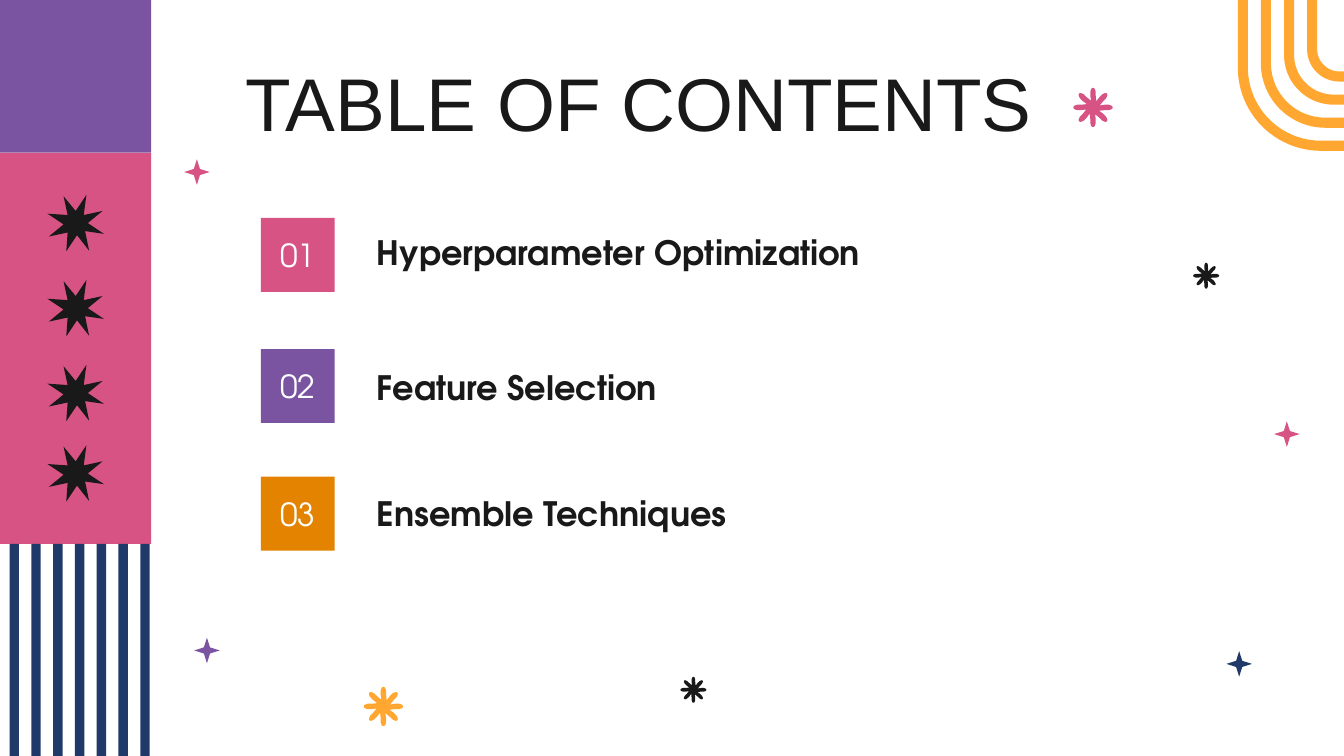
from math import cos, pi, sin

from pptx import Presentation
from pptx.dml.color import RGBColor
from pptx.enum.shapes import MSO_SHAPE
from pptx.enum.text import MSO_ANCHOR, MSO_AUTO_SIZE, PP_ALIGN
from pptx.util import Inches, Pt

PINK = RGBColor(0xD7, 0x53, 0x83)
PURPLE = RGBColor(0x7A, 0x54, 0xA1)
ORANGE = RGBColor(0xE3, 0x83, 0x00)
AMBER = RGBColor(0xFF, 0xA7, 0x30)
NAVY = RGBColor(0x21, 0x39, 0x69)
BLACK = RGBColor(0x19, 0x19, 0x19)
WHITE = RGBColor(0xFF, 0xFF, 0xFF)
BODY_FONT = "TeX Gyre Adventor"

deck = Presentation()
deck.slide_width = Inches(10)
deck.slide_height = deck.slide_width * 9 // 16
COLUMNS = 100
CELL = deck.slide_width / COLUMNS
ROWS = deck.slide_height / CELL
page = deck.slides.add_slide(deck.slide_layouts[5])


def add_preset(kind, color, left, top, width, height):
    shape = page.shapes.add_shape(kind, *(round(n * CELL) for n in (left, top, width, height)))
    shape.shadow.inherit = False
    shape.fill.solid()
    shape.fill.fore_color.rgb = color
    shape.line.fill.background()
    return shape


def add_outline(points, color):
    corners = [(round(x * CELL), round(y * CELL)) for x, y in points]
    builder = page.shapes.build_freeform(*corners[0])
    builder.add_line_segments(corners[1:], close=True)
    shape = builder.convert_to_shape()
    shape.shadow.inherit = False
    shape.fill.solid()
    shape.fill.fore_color.rgb = color
    shape.line.fill.background()


BAND, BAND_STEP, ARC_STEPS = 0.75, 1.72, 24
for index, radius in enumerate((6.2, 4.8, 3.7, 2.4)):
    center_x = 92.1 + index * BAND_STEP + radius
    center_y = 11.23 - index * BAND_STEP - radius
    turns = [pi - step * pi / 2 / ARC_STEPS for step in range(ARC_STEPS + 1)]
    outer, inner = (
        [(center_x - size, 0)]
        + [(center_x + size * cos(turn), center_y + size * sin(turn)) for turn in turns]
        + [(COLUMNS, center_y + size)]
        for size in (radius, radius - BAND)
    )
    add_outline(outer + inner[::-1], AMBER)

PETAL = [(0.17, -0.05), (0.3, -0.07), (0.4, -0.07), (0.46, -0.05), (0.49, -0.03),
         (0.5, 0), (0.49, 0.03), (0.46, 0.05), (0.4, 0.07), (0.3, 0.07)]
for center_x, center_y, size, color in (
    (51.6, 51.33, 1.93, BLACK),
    (28.53, 52.57, 2.92, AMBER),
    (89.75, 20.52, 1.93, BLACK),
    (81.33, 8, 2.92, PINK),
):
    add_outline(
        [
            (center_x + size * (along * cos(turn) - across * sin(turn)),
             center_y + size * (along * sin(turn) + across * cos(turn)))
            for turn in (petal * pi / 4 for petal in range(8))
            for along, across in PETAL
        ],
        color,
    )

for left, top, color in (
    (94.8, 31.35, PINK),
    (91.25, 48.45, NAVY),
    (14.45, 47.45, PURPLE),
    (13.7, 11.85, PINK),
):
    sparkle = add_preset(MSO_SHAPE.STAR_4_POINT, color, left, top, 1.9, 1.9)
    sparkle.adjustments[0] = 0.17

SIDEBAR = 11.25
add_preset(MSO_SHAPE.RECTANGLE, PURPLE, 0, 0, SIDEBAR, 11.37)
add_preset(MSO_SHAPE.RECTANGLE, PINK, 0, 11.37, SIDEBAR, 29.1)
for stripe in range(7):
    add_preset(MSO_SHAPE.RECTANGLE, NAVY, 0.72 + 1.62 * stripe, 40.47, 0.7, ROWS - 40.47)

BURST = [(2.9, 0), (2.1, 1.2), (1.2, 0.1), (1.5, 1.5), (0, 1.4), (1.2, 2.2),
         (0.1, 3.1), (1.5, 2.8), (1.4, 4.2), (2.2, 3), (3.1, 4.15), (2.8, 2.7),
         (4.2, 2.9), (3, 2.1), (4.1, 1.2), (2.7, 1.5)]
for top in (14.5, 20.83, 27.15, 33.13):
    add_outline([(3.53 + x, top + y) for x, y in BURST], BLACK)

title = page.shapes.title
title.left, title.top, title.width, title.height = (
    round(n * CELL) for n in (17.3, 4.85, 74.8, 6.3)
)
frame = title.text_frame
frame.auto_size = MSO_AUTO_SIZE.NONE
frame.vertical_anchor = MSO_ANCHOR.MIDDLE
frame.margin_left = frame.margin_right = frame.margin_top = frame.margin_bottom = Inches(0.1)
para = frame.paragraphs[0]
para.alignment = PP_ALIGN.LEFT
para.line_spacing = 0.9
span = para.add_run()
span.text = "TABLE OF CONTENTS"
span.font.name = "Arial"
span.font.size = Pt(40)
span.font.color.rgb = BLACK

for number, topic, color, tile_top, top, width, height, spacing in (
    ("01", "Hyperparameter Optimization", PINK, 16.22, 16.55, 44.9, 4.8, 0.9),
    ("02", "Feature Selection", PURPLE, 25.97, 26.25, 27.4, 5.1, 1),
    ("03", "Ensemble Techniques", ORANGE, 35.47, 35.3, 34.7, 5.8, 1),
):
    tile = add_preset(MSO_SHAPE.RECTANGLE, color, 19.4, tile_top, 5.5, 5.5)
    box = page.shapes.add_textbox(*(round(n * CELL) for n in (25.54, top, width, height)))
    for holder, words, size, ink, bold, align, indent, leading in (
        (tile, number, 17, WHITE, False, PP_ALIGN.CENTER, 0.1, 1),
        (box, topic, 18, BLACK, True, PP_ALIGN.LEFT, 0.25, spacing),
    ):
        frame = holder.text_frame
        frame.word_wrap = True
        frame.vertical_anchor = MSO_ANCHOR.MIDDLE
        frame.margin_right = frame.margin_top = frame.margin_bottom = Inches(0.1)
        frame.margin_left = Inches(indent)
        para = frame.paragraphs[0]
        para.alignment = align
        para.line_spacing = leading
        span = para.add_run()
        span.text = words
        span.font.name = BODY_FONT
        span.font.size = Pt(size)
        span.font.bold = bold
        span.font.color.rgb = ink

deck.save("out.pptx")
